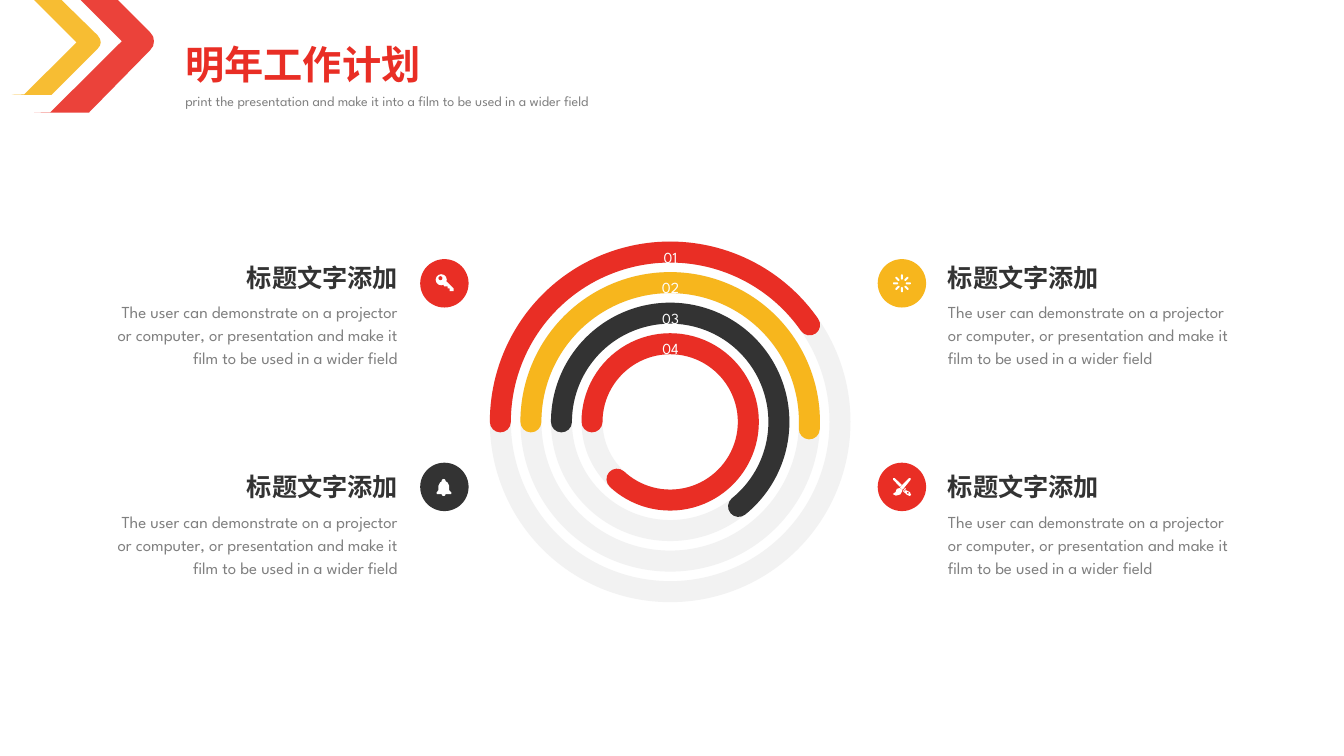
from dataclasses import dataclass
from math import cos, radians, sin
from typing import Callable

from lxml import etree
from pptx import Presentation
from pptx.dml.color import RGBColor
from pptx.enum.shapes import MSO_SHAPE
from pptx.enum.text import MSO_ANCHOR, MSO_AUTO_SIZE, PP_ALIGN
from pptx.oxml.ns import qn
from pptx.util import Cm, Pt

RED = RGBColor(0xE9, 0x2E, 0x25)
GOLD = RGBColor(0xF7, 0xB6, 0x1D)
DARK = RGBColor(0x33, 0x33, 0x33)
GREY = RGBColor(0x80, 0x80, 0x80)
PALE = RGBColor(0xF2, 0xF2, 0xF2)
WHITE = RGBColor(0xFF, 0xFF, 0xFF)

OVAL, ARC, PILL = MSO_SHAPE.OVAL, MSO_SHAPE.ARC, MSO_SHAPE.ROUNDED_RECTANGLE
LEFT, CENTER, RIGHT = PP_ALIGN.LEFT, PP_ALIGN.CENTER, PP_ALIGN.RIGHT
TOP, NO_FIT = MSO_ANCHOR.TOP, MSO_AUTO_SIZE.NONE

FONT = "League Spartan"
HEAD = "标题文字添加"
BODY = ("The user can demonstrate on a projector or computer, or presentation "
        "and make it film to be used in a wider field")

Points = list[tuple[float, float]]


@dataclass
class Ring:
    label: str
    color: RGBColor
    end: float  # arc end, in adjustment units


@dataclass
class Topic:
    right: bool
    mid: float  # centre of the disc, cm
    top: float  # top of the heading, cm
    color: RGBColor
    icon: Callable[[float, float, RGBColor], None]


deck = Presentation()
deck.slide_width, deck.slide_height = Cm(33.87), Cm(19.05)
slide = deck.slides.add_slide(deck.slide_layouts[5])
shapes = slide.shapes


def paint(shape, color: RGBColor) -> None:
    shape.shadow.inherit = False
    shape.fill.solid()
    shape.fill.fore_color.rgb = color
    shape.line.fill.background()


def disc(x: float, y: float, r: float, color: RGBColor) -> None:
    paint(shapes.add_shape(OVAL, Cm(x - r), Cm(y - r), Cm(2 * r), Cm(2 * r)), color)


def patch(points: Points, color: RGBColor, x: float = 0, y: float = 0,
          unit: float = 1, alpha: int = 100) -> None:
    """Fill a polygon whose points are offsets from x, y in units of cm."""
    spots = [(Cm(x + a * unit), Cm(y + b * unit)) for a, b in points]
    pen = shapes.build_freeform(*spots[0])
    pen.add_line_segments(spots[1:])
    shape = pen.convert_to_shape()
    paint(shape, color)
    if alpha < 100:
        tint = shape.element.spPr.find(qn("a:solidFill"))[0]
        etree.SubElement(tint, qn("a:alpha")).set("val", str(alpha * 1000))


def write(frame, text: str, size: int, color: RGBColor, align=LEFT,
          bold: bool = False) -> None:
    frame.text = text
    par = frame.paragraphs[0]
    par.alignment = align
    font = par.font
    font.name, font.size, font.bold = FONT, Pt(size), bold
    font.color.rgb = color


def label(x: float, y: float, w: float, h: float, text: str, size: int,
          color: RGBColor, align=LEFT, bold: bool = False):
    frame = shapes.add_textbox(Cm(x), Cm(y), Cm(w), Cm(h)).text_frame
    frame.word_wrap = True
    write(frame, text, size, color, align, bold)
    return frame


def key(x: float, y: float, color: RGBColor) -> None:
    disc(x - 0.08, y - 0.09, 0.14, WHITE)
    disc(x - 0.1, y - 0.13, 0.05, color)
    patch([(5, -5), (23, 13), (23, 20), (13, 20), (13, 13), (8, 13), (8, 8),
           (0, 8), (-3, 3)], WHITE, x, y, 0.01)


def bell(x: float, y: float, color: RGBColor) -> None:
    for rise in (-0.15, 0.18):
        disc(x - 0.02, y + rise, 0.05, WHITE)
    patch([(-20, 15), (-15, 8), (-15, -3), (-11, -11), (-5, -15), (2, -15),
           (8, -11), (12, -3), (12, 8), (18, 15), (17, 18), (-19, 18)],
          WHITE, x, y, 0.01)


def burst(x: float, y: float, color: RGBColor) -> None:
    w, h, r = 0.05, 0.13, 0.16
    for turn in range(0, 360, 45):
        a, b = x + r * sin(radians(turn)), y - r * cos(radians(turn))
        ray = shapes.add_shape(PILL, Cm(a - w / 2), Cm(b - h / 2), Cm(w), Cm(h))
        ray.adjustments[0] = 0.5
        ray.rotation = turn
        paint(ray, WHITE)


def tools(x: float, y: float, color: RGBColor) -> None:
    parts = [
        [(5, 13), (10, 8), (20, 13), (23, 20), (20, 23), (13, 20)],
        [(3, 10), (8, 3), (10, 5), (3, 13)],
        [(-22, -18), (-22, -22), (-18, -22), (0, -5), (-5, 0)],
        [(-6, 3), (-13, 5), (-16, 13), (-23, 18), (-15, 22), (-4, 19),
         (1, 10), (-1, 5)],
        [(-5, 2), (-2, -2), (18, -22), (22, -22), (22, -18), (5, 3), (2, 7)],
    ]
    for part in parts:
        patch(part, WHITE, x, y, 0.01)
    disc(x + 0.15, y + 0.15, 0.02, color)


def hoop(kind, r: float, color: RGBColor):
    x, y = 16.89, 10.63
    shape = shapes.add_shape(kind, Cm(x - r), Cm(y - r), Cm(2 * r), Cm(2 * r))
    shape.shadow.inherit = False
    shape.fill.background()
    shape.line.color.rgb = color
    shape.line.width = Pt(15)
    return shape


def sweep(ring: Ring, r: float) -> None:
    arc = hoop(ARC, r, ring.color)
    arc.rotation = 270
    arc.adjustments[0], arc.adjustments[1] = 162, ring.end
    arc.element.spPr.find(qn("a:ln")).set("cap", "rnd")


def show(topic: Topic) -> None:
    x = 22.73 if topic.right else 11.2
    disc(x, topic.mid, 0.61, topic.color)
    topic.icon(x, topic.mid, topic.color)
    edge, align = (23.64, LEFT) if topic.right else (10.28, RIGHT)
    wide, slim = 7.75, 5.92
    shift = 0 if topic.right else 1
    label(edge - shift * slim, topic.top, slim, 1.02, HEAD, 18, DARK, align, True)
    frame = label(edge - shift * wide, topic.top + 0.94, wide, 2.59, BODY, 12,
                  GREY, align)
    frame.paragraphs[0].line_spacing = 1.14


RINGS = [Ring("01", RED, 33.11), Ring("02", GOLD, 55.72),
         Ring("03", DARK, 84.62), Ring("04", RED, 133.75)]
TOPICS = [Topic(False, 7.14, 6.48, RED, key), Topic(False, 12.27, 11.75, DARK, bell),
          Topic(True, 12.27, 11.75, RED, tools), Topic(True, 7.14, 6.48, GOLD, burst)]
RED_TIP = [(0.86, 2.84), (2.24, 2.84), (3.78, 1.27), (3.86, 1.16), (3.88, 1.04),
           (3.86, 0.92), (3.78, 0.81), (2.97, 0), (2.03, 0), (3.07, 1.04),
           (1.27, 2.83)]
GOLD_TIP = [(0.3, 2.39), (1.3, 2.39), (2.46, 1.23), (2.52, 1.15), (2.54, 1.07),
            (2.52, 0.98), (2.46, 0.89), (1.55, 0), (0.86, 0), (1.93, 1.07),
            (0.61, 2.38)]

radii = [4.28 - 0.77 * i for i in range(len(RINGS))]
for r in radii:
    hoop(OVAL, r, PALE)
for ring, r in zip(RINGS, radii):
    sweep(ring, r)
for i, ring in enumerate(RINGS):
    frame = label(16.48, 6.12 + 0.77 * i, 0.84, 0.61, ring.label, 11, WHITE, CENTER)
    frame.margin_left = frame.margin_right = Cm(0)
for topic in TOPICS:
    show(topic)
patch(RED_TIP, RED, alpha=90)
patch(GOLD_TIP, GOLD, alpha=90)

title = shapes.title
title.left, title.top, title.width, title.height = Cm(4.42), Cm(0.89), Cm(11.66), Cm(1.45)
frame = title.text_frame
frame.auto_size, frame.vertical_anchor = NO_FIT, TOP
write(frame, "明年工作计划", 28, RED, bold=True)
label(4.42, 2.21, 15.37, 0.69,
      "print the presentation and make it into a film to be used in a wider field",
      10, GREY)

deck.save("out.pptx")
